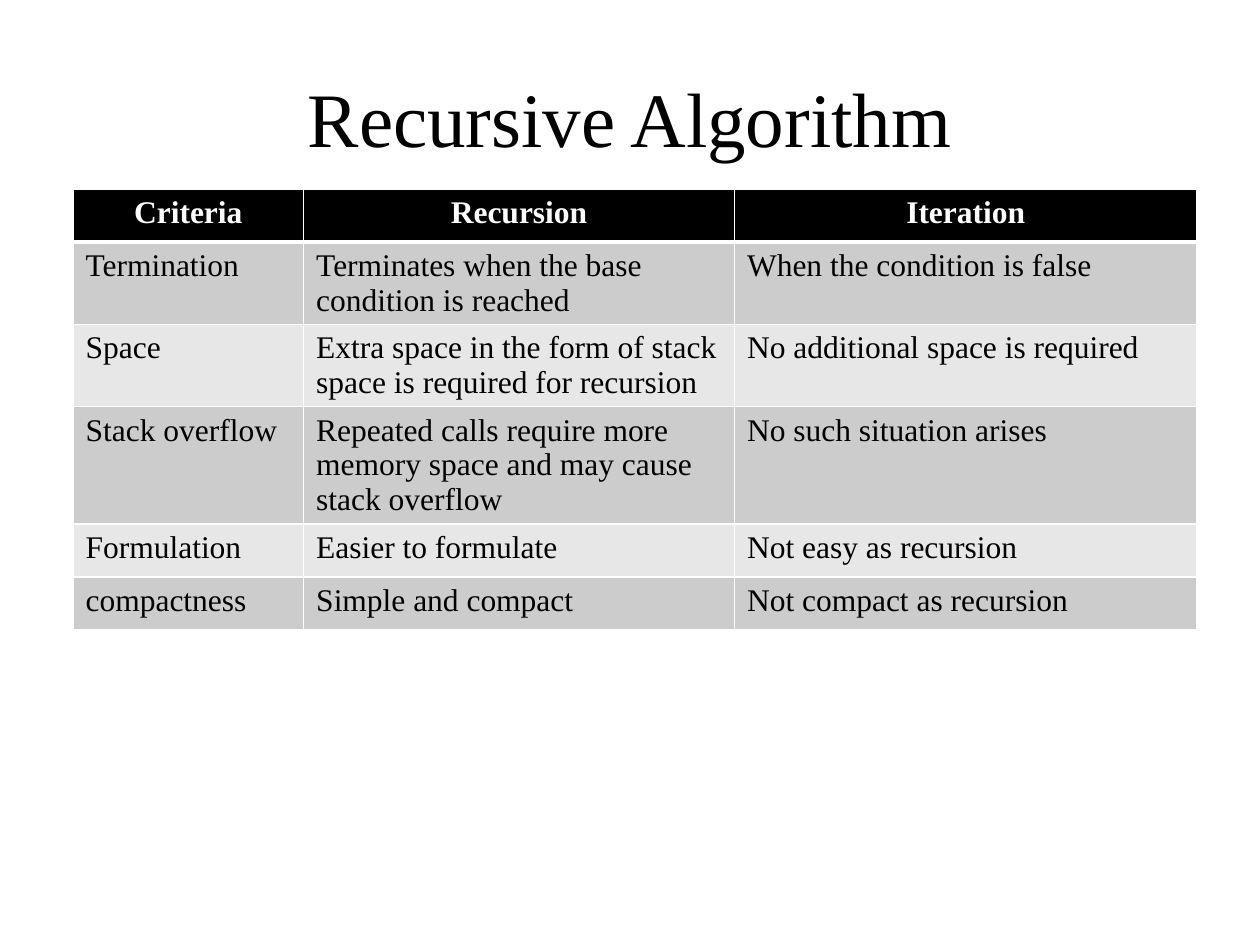
from dataclasses import dataclass

from lxml.etree import SubElement
from pptx import Presentation
from pptx.dml.color import RGBColor
from pptx.enum.text import MSO_ANCHOR, PP_ALIGN
from pptx.oxml.ns import qn
from pptx.util import Inches, Pt

FONT = "Times New Roman"
BLACK, WHITE = "000000", "FFFFFF"
COLUMN_WIDTHS = (1.83, 3.42, 3.67)
ROW_HEIGHT = 0.42
ROWS = (
    ("Criteria", "Recursion", "Iteration"),
    ("Termination", "Terminates when the base condition is reached", "When the condition is false"),
    ("Space", "Extra space in the form of stack space is required for recursion",
     "No additional space is required"),
    ("Stack overflow", "Repeated calls require more memory space and may cause stack overflow",
     "No such situation arises"),
    ("Formulation", "Easier to formulate", "Not easy as recursion"),
    ("compactness", "Simple and compact", "Not compact as recursion"),
)


@dataclass(frozen=True)
class CellStyle:
    fill: str
    color: str = BLACK
    bold: bool = False
    align: PP_ALIGN = PP_ALIGN.LEFT
    top: float = 1
    bottom: float = 1


HEADER = CellStyle(BLACK, WHITE, True, PP_ALIGN.CENTER, bottom=3)
FIRST = CellStyle("CCCCCC", top=3)
DARK = CellStyle("CCCCCC")
LIGHT = CellStyle("E7E7E7")
ROW_STYLES = (HEADER, FIRST, LIGHT, DARK, LIGHT, DARK)


def rgb(color: str) -> RGBColor:
    return RGBColor.from_string(color)


def format_paragraph(paragraph, size: float, color: str, bold: bool, align: PP_ALIGN) -> None:
    paragraph.alignment = align
    font = paragraph.font
    font.name, font.size, font.bold = FONT, Pt(size), bold
    font.color.rgb = rgb(color)


def add_borders(cell, style: CellStyle) -> None:
    properties = cell._tc.get_or_add_tcPr()
    for side, width in (("L", 1), ("R", 1), ("T", style.top), ("B", style.bottom)):
        line = SubElement(properties, qn(f"a:ln{side}"), w=str(Pt(width)))
        fill = SubElement(line, qn("a:solidFill"))
        SubElement(fill, qn("a:srgbClr"), val=WHITE)


def fill_cell(cell, text: str, style: CellStyle) -> None:
    cell.text = text
    format_paragraph(cell.text_frame.paragraphs[0], 18, style.color, style.bold, style.align)
    add_borders(cell, style)
    cell.fill.solid()
    cell.fill.fore_color.rgb = rgb(style.fill)


def add_title(slide, text: str) -> None:
    title = slide.shapes.title
    title.left, title.top = Inches(0.5), Inches(0.3)
    title.width, title.height = Inches(9), Inches(1.25)
    title.text_frame.text = text
    title.text_frame.vertical_anchor = MSO_ANCHOR.MIDDLE
    format_paragraph(title.text_frame.paragraphs[0], 44, BLACK, False, PP_ALIGN.CENTER)


def add_comparison(slide) -> None:
    table = slide.shapes.add_table(
        len(ROWS), len(COLUMN_WIDTHS), Inches(0.58), Inches(1.5),
        Inches(sum(COLUMN_WIDTHS)), Inches(ROW_HEIGHT * len(ROWS)),
    ).table
    for column, width in zip(table.columns, COLUMN_WIDTHS):
        column.width = Inches(width)
    for row, texts, style in zip(table.rows, ROWS, ROW_STYLES):
        row.height = Inches(ROW_HEIGHT)
        for cell, text in zip(row.cells, texts):
            fill_cell(cell, text, style)


def main() -> None:
    deck = Presentation()
    deck.slide_width, deck.slide_height = Inches(10), Inches(7.5)
    slide = deck.slides.add_slide(deck.slide_layouts[5])
    add_title(slide, "Recursive Algorithm")
    add_comparison(slide)
    deck.save("out.pptx")


if __name__ == "__main__":
    main()
